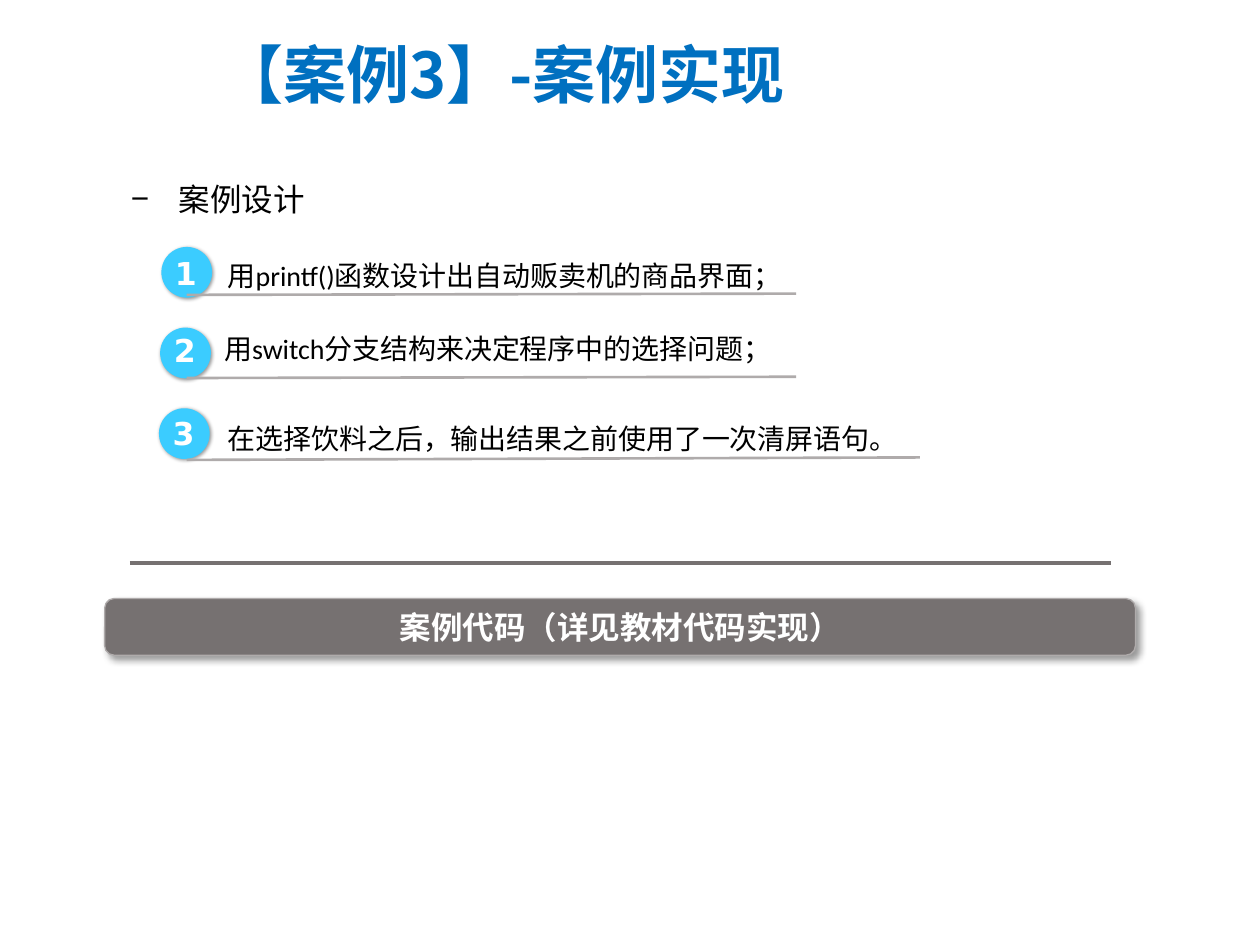
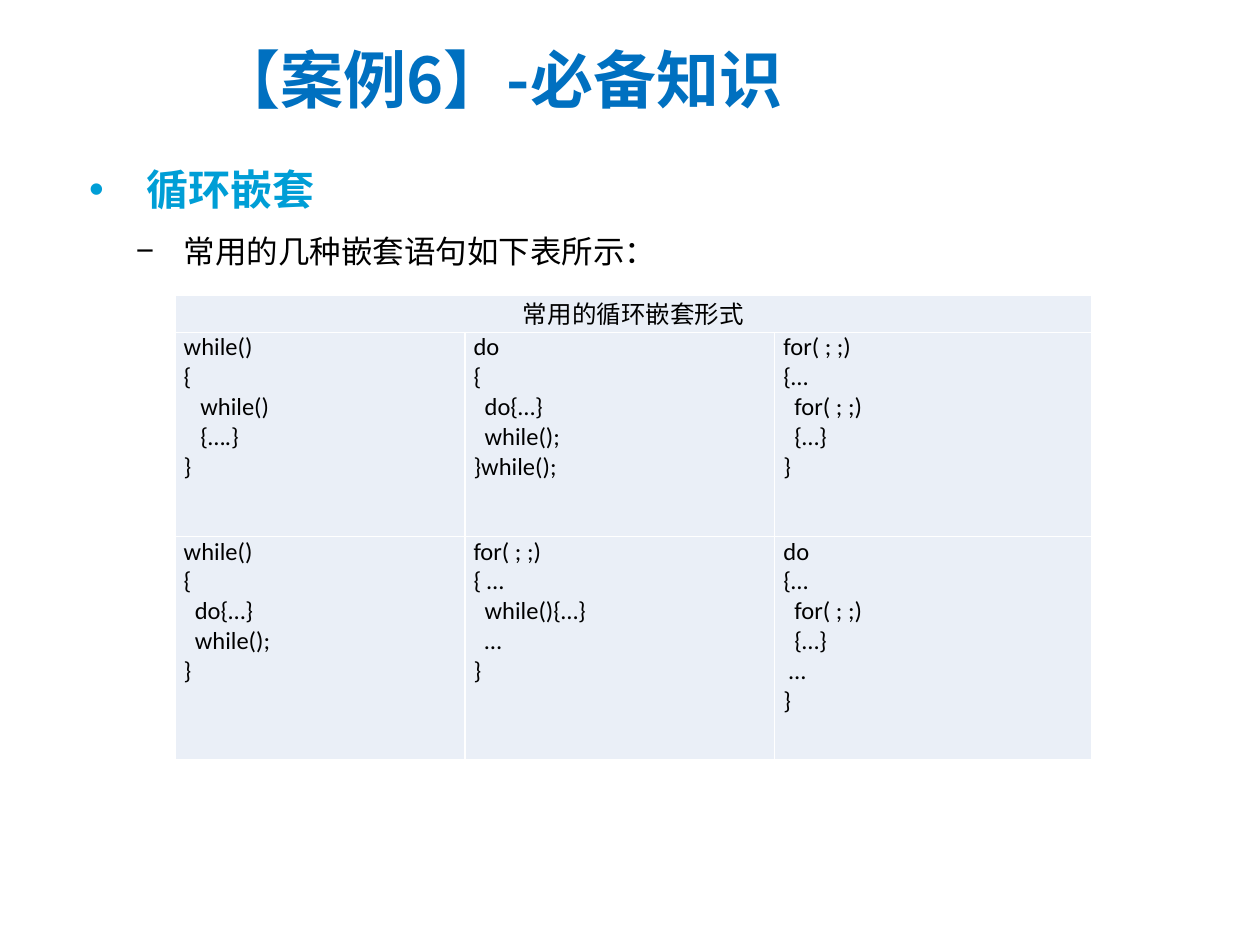
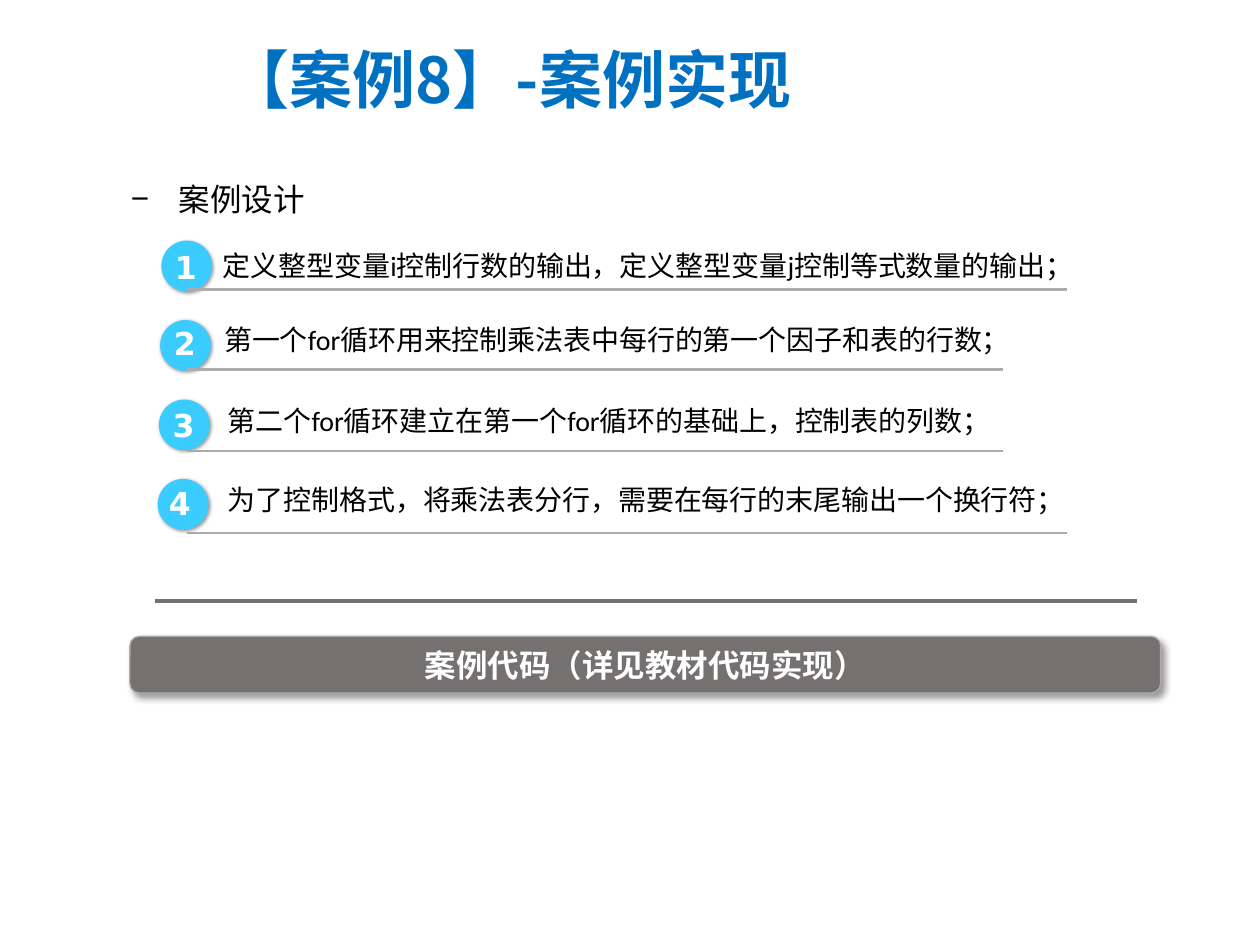
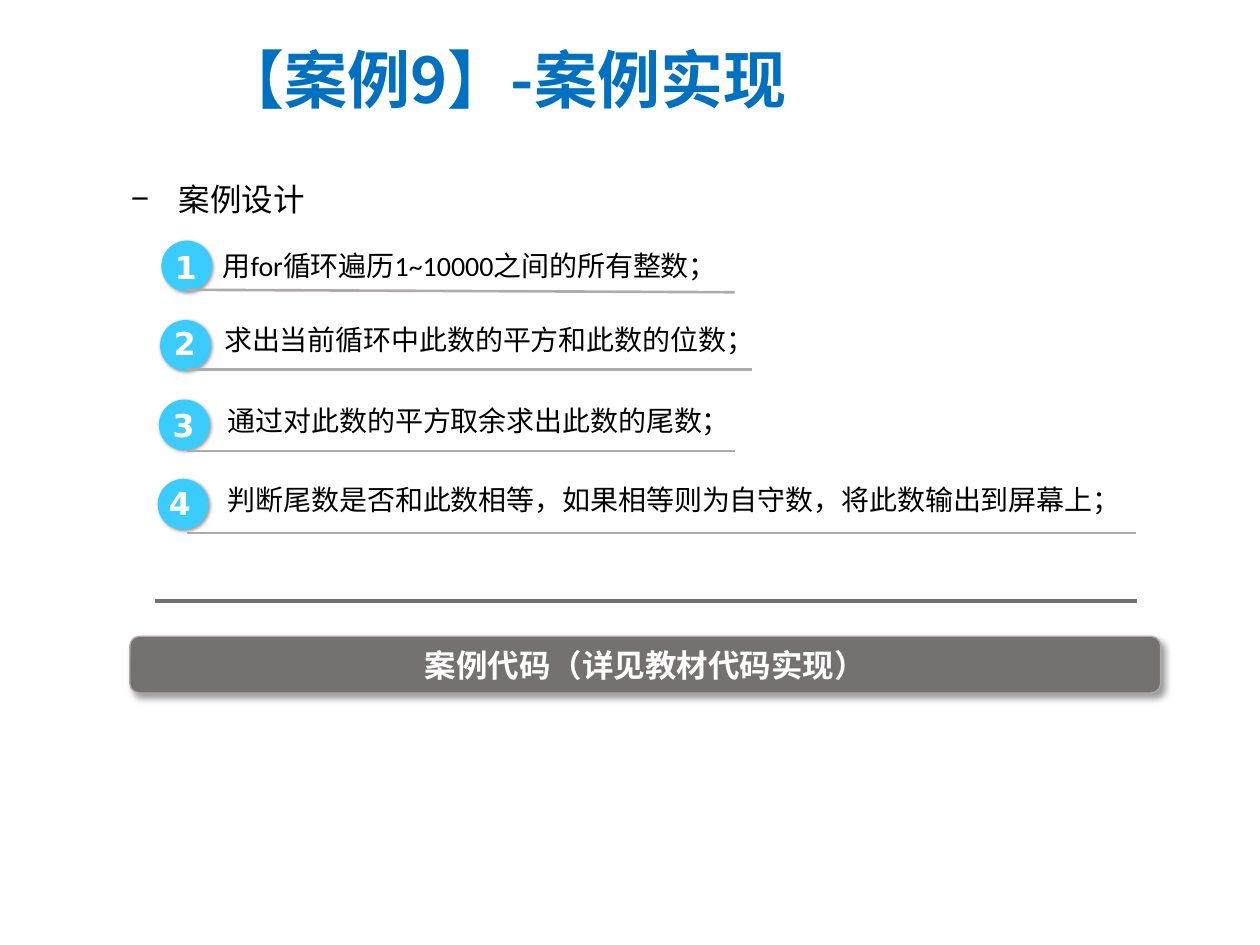
from lxml import etree
from pptx import Presentation
from pptx.dml.color import RGBColor
from pptx.enum.shapes import MSO_CONNECTOR, MSO_SHAPE
from pptx.enum.text import MSO_ANCHOR, MSO_AUTO_SIZE, PP_ALIGN
from pptx.oxml.ns import qn
from pptx.util import Pt

# Shared look
BLUE = RGBColor(0x00, 0x70, 0xC0)
CYAN = RGBColor(0x00, 0x9E, 0xD6)
SKY = RGBColor(0x3B, 0xCC, 0xFF)
GREY = RGBColor(0x76, 0x71, 0x71)
SILVER = RGBColor(0xAF, 0xAB, 0xAB)
PALE = RGBColor(0xEA, 0xEF, 0xF7)
BLACK = RGBColor(0x00, 0x00, 0x00)
WHITE = RGBColor(0xFF, 0xFF, 0xFF)

LATIN = "Calibri"
HAN = "Noto Sans CJK SC"
DIGIT = "DejaVu Sans"

OVAL = MSO_SHAPE.OVAL
ROUND = MSO_SHAPE.ROUNDED_RECTANGLE
STRAIGHT = MSO_CONNECTOR.STRAIGHT
MIDDLE = MSO_ANCHOR.MIDDLE
GROW = MSO_AUTO_SIZE.SHAPE_TO_FIT_TEXT
LEFT, CENTER, JUSTIFY = PP_ALIGN.LEFT, PP_ALIGN.CENTER, PP_ALIGN.JUSTIFY

# Number offsets inside the badges
NUDGE = [(0.7, 0.7), (0.7, -1.4), (0.7, 0), (-0.7, -0.7)]

# Rows of a step list: text left, top, height, leading, wrap, line top
THREE = [
    (123.1, 138.2, 29.5, 1.3, False, 168.5),
    (121, 185.8, 26.6, None, False, 216),
    (123.1, 231.8, 32.4, 1.3, False, 262.8),
]
FOUR = [
    (120.2, 132.5, 32.4, 1.3, True, 165.6),
    (121, 180.7, 26.6, None, False, 211),
    (123.1, 226.8, 26.6, None, False, 257.8),
    (123.1, 272.2, 26.6, None, False, 304.6),
]

# Steps: text, text width, line end, line slope
CASE3 = [
    ("用printf()函数设计出自动贩卖机的商品界面；", 336.2, 455, -0.7),
    ("用switch分支结构来决定程序中的选择问题；", 334.1, 455, -0.7),
    ("在选择饮料之后，输出结果之前使用了一次清屏语句。", 402.5, 525.6, -1.4),
]
CASE8 = [
    ("定义整型变量i控制行数的输出，定义整型变量j控制等式数量的输出；",
     517.7, 609.8, 0),
    ("第一个for循环用来控制乘法表中每行的第一个因子和表的行数；",
     469.4, 573.1, 0),
    ("第二个for循环建立在第一个for循环的基础上，控制表的列数；",
     456.5, 573.1, 0),
    ("为了控制格式，将乘法表分行，需要在每行的末尾输出一个换行符；",
     499, 609.8, 0),
]
CASE9 = [
    ("用for循环遍历1~10000之间的所有整数；", 309.6, 419.8, 1.4),
    ("求出当前循环中此数的平方和此数的位数；", 321.8, 429.8, 0),
    ("通过对此数的平方取余求出此数的尾数；", 305.3, 419.8, 0),
    ("判断尾数是否和此数相等，如果相等则为自守数，将此数输出到屏幕上；",
     531.4, 649.4, 0),
]

LOOPS = [
    ["while()\n{\n   while()\n   {….}\n}",
     "do\n{\n  do{…}\n  while();\n}while();",
     "for( ; ;)\n{…\n  for( ; ;)\n  {…}\n}"],
    ["while()\n{\n  do{…}\n  while();\n}",
     "for( ; ;)\n{ …\n  while(){…}\n  …\n}",
     "do\n{…\n  for( ; ;)\n  {…}\n …\n}"],
]


def write(frame, text, size=16, font=LATIN, color=BLACK, bold=False,
          align=LEFT, leading=None, after=None, bullet=None, indent=27.4):
    """Fill a text frame, one paragraph for each line of text."""
    for i, part in enumerate(text.split("\n")):
        para = frame.add_paragraph() if i else frame.paragraphs[0]
        if bullet:
            props = para._p.get_or_add_pPr()
            props.set("marL", str(Pt(indent)))
            props.set("indent", str(-Pt(indent)))
            face = etree.SubElement(props, qn("a:buFont"))
            face.set("typeface", "Arial")
            etree.SubElement(props, qn("a:buChar")).set("char", bullet)
        para.alignment = align
        if leading:
            para.line_spacing = leading
        if after:
            para.space_after = Pt(after)
        run = para.add_run()
        run.text = part
        run.font.size = Pt(size)
        run.font.name = font
        run.font.bold = bold
        run.font.color.rgb = color
        east = etree.SubElement(run.font._element, qn("a:ea"))
        east.set("typeface", HAN)


def label(slide, text, x, y, w, h, wrap=False, grow=True, **form):
    box = slide.shapes.add_textbox(Pt(x), Pt(y), Pt(w), Pt(h))
    frame = box.text_frame
    frame.word_wrap = wrap
    if grow:
        frame.auto_size = GROW
    else:
        frame.vertical_anchor = MIDDLE
    write(frame, text, **form)


def title(slide, text, x, y, w):
    label(slide, text, x, y, w, 60.5, wrap=True, grow=False,
          size=36, font=HAN, color=BLUE, bold=True)


def shade(shape, blur, dist):
    """Give a shape a soft shadow to the lower right."""
    shape.shadow.inherit = False
    effects = shape._element.spPr.find(qn("a:effectLst"))
    outer = etree.SubElement(
        effects, qn("a:outerShdw"), blurRad=str(Pt(blur)),
        dist=str(Pt(dist)), dir="2700000", algn="tl", rotWithShape="0")
    tint = etree.SubElement(outer, qn("a:srgbClr"), val="000000")
    etree.SubElement(tint, qn("a:alpha"), val="40000")


def rule(slide, x1, y1, x2, y2, color, width):
    line = slide.shapes.add_connector(STRAIGHT, Pt(x1), Pt(y1), Pt(x2), Pt(y2))
    line.line.color.rgb = color
    line.line.width = Pt(width)
    etree.SubElement(line._element.spPr, qn("a:effectLst"))


def badge(slide, index, x, y):
    disc = slide.shapes.add_shape(OVAL, Pt(x), Pt(y), Pt(29), Pt(29))
    disc.rotation = 9.6
    disc.fill.solid()
    disc.fill.fore_color.rgb = SKY
    disc.line.fill.background()
    shade(disc, 2, 1)
    dx, dy = NUDGE[index]
    label(slide, str(index + 1), x + dx, y + dy, 27.4, 29,
          size=18, font=DIGIT, color=WHITE, bold=True)


def steps(slide, items, rows, top, gap):
    """Numbered, underlined steps."""
    for i, (item, row) in enumerate(zip(items, rows)):
        text, width, end, slope = item
        x, y, height, leading, wrap, base = row
        badge(slide, i, 92.2 - 0.7 * i, top + gap * i)
        rule(slide, 106.7, base, end, base + slope, SILVER, 1.5)
        label(slide, text, x, y, width, height, wrap=wrap,
              leading=leading, after=3 if leading else None)


def bar(slide, x, y):
    """Grey code bar with the rule above it."""
    rule(slide, x + 14.4, y - 20.2, x + 575.3, y - 20.2, GREY, 2.25)
    band = slide.shapes.add_shape(ROUND, Pt(x), Pt(y), Pt(589), Pt(32.4))
    band.fill.solid()
    band.fill.fore_color.rgb = GREY
    band.line.color.rgb = SILVER
    band.line.width = Pt(0.75)
    shade(band, 4, 3)
    band.text_frame.word_wrap = True
    band.text_frame.vertical_anchor = MIDDLE
    write(band.text_frame, "案例代码（详见教材代码实现）", size=18,
          color=WHITE, bold=True, align=CENTER)


def dress(cell):
    """Pale fill, narrow margins and white borders."""
    cell.margin_left = cell.margin_right = Pt(5)
    cell.margin_top = cell.margin_bottom = 0
    props = cell._tc.get_or_add_tcPr()
    for side in ("lnL", "lnR", "lnT", "lnB"):
        edge = etree.SubElement(props, qn("a:" + side), w=str(Pt(1)))
        fill = etree.SubElement(edge, qn("a:solidFill"))
        etree.SubElement(fill, qn("a:srgbClr"), val=str(WHITE))
    cell.fill.solid()
    cell.fill.fore_color.rgb = PALE


def grid(slide, head, body, x, y, widths, heights):
    frame = slide.shapes.add_table(
        len(heights), len(widths), Pt(x), Pt(y),
        Pt(sum(widths)), Pt(sum(heights)))
    table = frame.table
    table.first_row = table.horz_banding = False
    for col, width in zip(table.columns, widths):
        col.width = Pt(width)
    for row, height in zip(table.rows, heights):
        row.height = Pt(height)
    for cell in table.iter_cells():
        dress(cell)
    table.cell(0, 0).merge(table.cell(0, len(widths) - 1))
    write(table.cell(0, 0).text_frame, head, size=14, align=CENTER)
    for r, codes in enumerate(body, 1):
        for c, code in enumerate(codes):
            write(table.cell(r, c).text_frame, code, size=14, align=JUSTIFY)


def case(slide, name, spot, items, rows, top, gap, foot):
    """A whole case design slide."""
    title(slide, name, *spot)
    bar(slide, *foot)
    steps(slide, items, rows, top, gap)
    label(slide, "案例设计", 67.7, 88.6, 298.8, 40.3, wrap=True,
          size=18, font="Arial", leading=1.5, bullet="−")


def nest(slide):
    """The slide on nested loops."""
    label(slide, "常用的几种嵌套语句如下表所示：", 70.6, 118.1, 608.4, 40.3,
          wrap=True, size=18, leading=1.5, bullet="−")
    label(slide, "循环嵌套", 43.9, 75.6, 146.2, 45.4, size=24, color=CYAN,
          bold=True, leading=1.5, bullet="•", indent=32.8)
    title(slide, "【案例6】-必备知识", 117.4, 14.4, 405.4)
    grid(slide, "常用的循环嵌套形式", LOOPS, 100, 168.5,
         [165.6, 177.1, 181.4], [21.6, 116.6, 127.4])


def main():
    deck = Presentation()
    deck.slide_width, deck.slide_height = Pt(720), Pt(540)
    blank = deck.slide_layouts[6]
    one, two, three, four = [deck.slides.add_slide(blank) for _ in range(4)]

    case(one, "【案例3】-案例实现", (118.8, 11.5, 456.5),
         CASE3, THREE, 141.1, 46.1, (59.8, 342))
    nest(two)
    case(three, "【案例8】-案例实现", (122.4, 14.4, 467.3),
         CASE8, FOUR, 137.5, 45.4, (74.2, 363.6))
    case(four, "【案例9】-案例实现", (119.5, 14.4, 467.3),
         CASE9, FOUR, 137.5, 45.4, (74.2, 363.6))
    deck.save("out.pptx")


if __name__ == "__main__":
    main()
